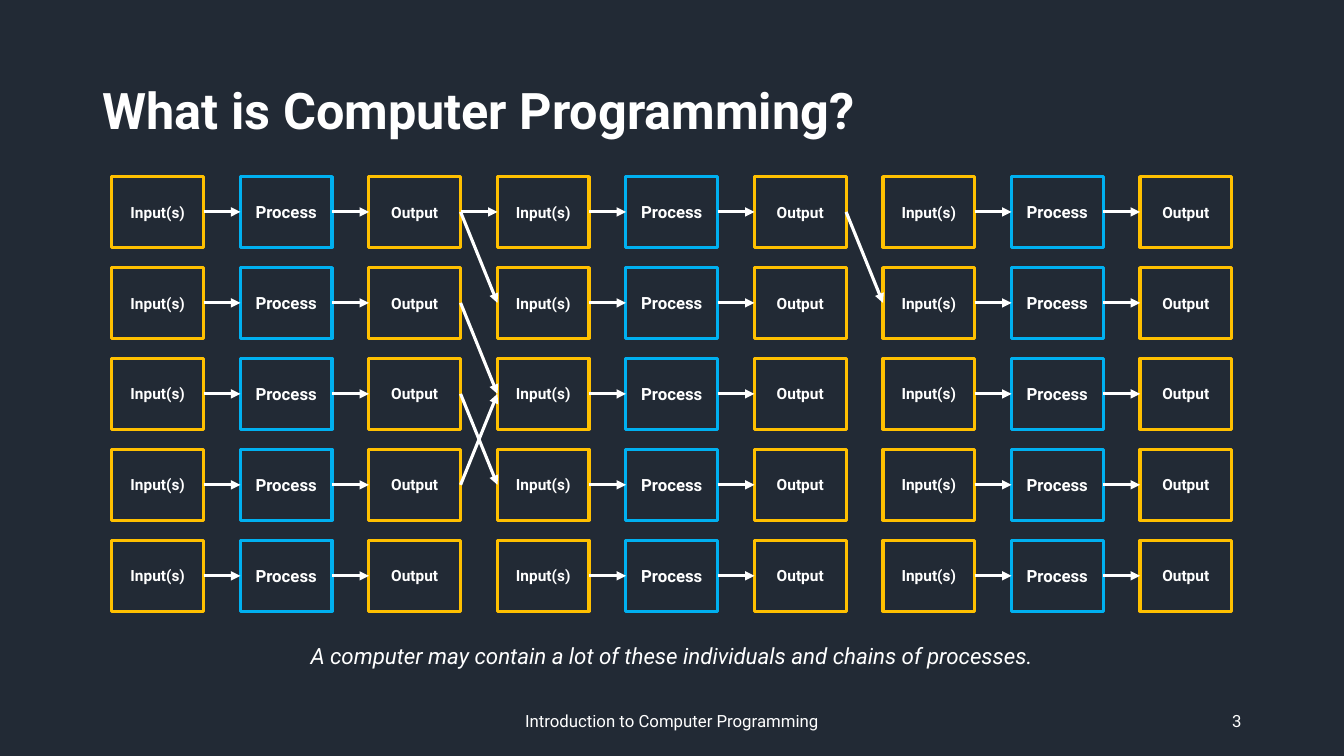
from dataclasses import dataclass

from lxml import etree
from pptx import Presentation
from pptx.dml.color import RGBColor
from pptx.enum.shapes import MSO_CONNECTOR, MSO_SHAPE
from pptx.enum.text import MSO_ANCHOR, MSO_AUTO_SIZE, PP_ALIGN
from pptx.oxml.ns import qn
from pptx.util import Cm, Pt

RECT = MSO_SHAPE.RECTANGLE
STRAIGHT = MSO_CONNECTOR.STRAIGHT
LEFT, CENTER, RIGHT = PP_ALIGN.LEFT, PP_ALIGN.CENTER, PP_ALIGN.RIGHT
MIDDLE, TOP = MSO_ANCHOR.MIDDLE, MSO_ANCHOR.TOP
NO_FIT, GROW = MSO_AUTO_SIZE.NONE, MSO_AUTO_SIZE.SHAPE_TO_FIT_TEXT
LEFT_SITE, RIGHT_SITE = 1, 3  # connection sites of a rectangle


@dataclass(frozen=True)
class Theme:
    font: str = "Roboto"
    background: RGBColor = RGBColor(0x22, 0x2A, 0x35)
    text: RGBColor = RGBColor(0xFF, 0xFF, 0xFF)
    data: RGBColor = RGBColor(0xFF, 0xC0, 0x00)
    process: RGBColor = RGBColor(0x00, 0xB0, 0xF0)
    title_size: int = 36
    caption_size: int = 16
    footer_size: int = 12
    process_size: int = 12
    data_size: int = 11
    line_width: float = 2.25


THEME = Theme()

# Chain steps: label, outline colour, type size
STEPS = [
    ("Input(s)", THEME.data, THEME.data_size),
    ("Process", THEME.process, THEME.process_size),
    ("Output", THEME.data, THEME.data_size),
]
COLUMNS, ROWS = 3, 5
BOX_W, BOX_H = 2.31, 1.78

# Links from an output to an input of the next column: column, row, next row
LINKS = [(0, 0, 0), (0, 0, 1), (0, 2, 3), (0, 1, 2), (0, 3, 2), (1, 0, 1)]


def set_text(shape, text, size, align=CENTER, anchor=MIDDLE, fit=NO_FIT, **font):
    tf = shape.text_frame
    frame_format = {"word_wrap": True, "auto_size": fit, "vertical_anchor": anchor}
    for name, value in frame_format.items():
        setattr(tf, name, value)
    p = tf.paragraphs[0]
    p.alignment = align
    r = p.add_run()
    r.text = text
    r.font.color.rgb = THEME.text
    for name, value in {"name": THEME.font, "size": Pt(size), **font}.items():
        setattr(r.font, name, value)
    return p


def add_text(slide, box, text, size, **style):
    sp = slide.shapes.add_textbox(*map(Cm, box))
    set_text(sp, text, size, **style)


def add_arrow(shapes, start, end):
    """Link the right side of one box to the left side of another."""
    line = shapes.add_connector(STRAIGHT, 0, 0, 0, 0)
    line.begin_connect(start, RIGHT_SITE)
    line.end_connect(end, LEFT_SITE)
    line.line.color.rgb = THEME.text
    line.line.width = Pt(THEME.line_width)
    etree.SubElement(line.line._get_or_add_ln(), qn("a:tailEnd"), type="triangle")
    etree.SubElement(line._element.spPr, qn("a:effectLst"))


def add_title(slide, box, text):
    title = slide.shapes.title
    for name, value in zip(("left", "top", "width", "height"), box):
        setattr(title, name, Cm(value))
    p = set_text(title, text, THEME.title_size, align=LEFT, bold=True)
    p.line_spacing = 0.9


def add_chain(slide, left, top, pitch):
    """Group one input, process and output; return its boxes."""
    shapes = slide.shapes.add_group_shape().shapes
    boxes = []
    for i, (label, color, size) in enumerate(STEPS):
        sp = shapes.add_shape(
            RECT, Cm(left + i * pitch), Cm(top), Cm(BOX_W), Cm(BOX_H)
        )
        sp.shadow.inherit = False
        sp.fill.background()
        sp.line.color.rgb = color
        sp.line.width = Pt(THEME.line_width)
        set_text(sp, label, size, bold=True)
        boxes.append(sp)
    for start, end in zip(boxes, boxes[1:]):
        add_arrow(shapes, start, end)
    return boxes


def add_chain_grid(slide, box):
    left, top, width, height = box
    pitch_x = (width - BOX_W) / (COLUMNS * len(STEPS) - 1)
    pitch_y = (height - BOX_H) / (ROWS - 1)
    chains = {}
    for col in range(COLUMNS):
        for row in range(ROWS):
            x = left + col * len(STEPS) * pitch_x
            chains[col, row] = add_chain(slide, x, top + row * pitch_y, pitch_x)
    # Arrows between chains
    for col, row, next_row in LINKS:
        add_arrow(slide.shapes, chains[col, row][-1], chains[col + 1, next_row][0])


def add_footer(slide, box, text, number):
    left, top, width, height = box
    text_w, number_w = 11.43, 7.62
    middle = (left + (width - text_w) / 2, top, text_w, height)
    end = (left + width - number_w, top, number_w, height)
    add_text(slide, middle, text, THEME.footer_size)
    add_text(slide, end, number, THEME.footer_size, align=RIGHT)


def build_slide(prs):
    title_only = prs.slide_layouts[5]
    slide = prs.slides.add_slide(title_only)
    fill = slide.background.fill
    fill.solid()
    fill.fore_color.rgb = THEME.background

    add_title(slide, (2.33, 1.01, 29.21, 3.68), "What is Computer Programming?")
    add_footer(
        slide, (2.33, 17.66, 29.21, 1.01), "Introduction to Computer Programming", "3"
    )
    add_text(
        slide,
        (3.76, 16.05, 26.34, 0.94),
        "A computer may contain a lot of these individuals and chains of processes.",
        THEME.caption_size,
        anchor=TOP,
        fit=GROW,
        italic=True,
    )
    add_chain_grid(slide, (2.82, 4.45, 28.22, 10.95))


prs = Presentation()
prs.slide_width, prs.slide_height = Cm(33.87), Cm(19.05)
build_slide(prs)
prs.save("out.pptx")
